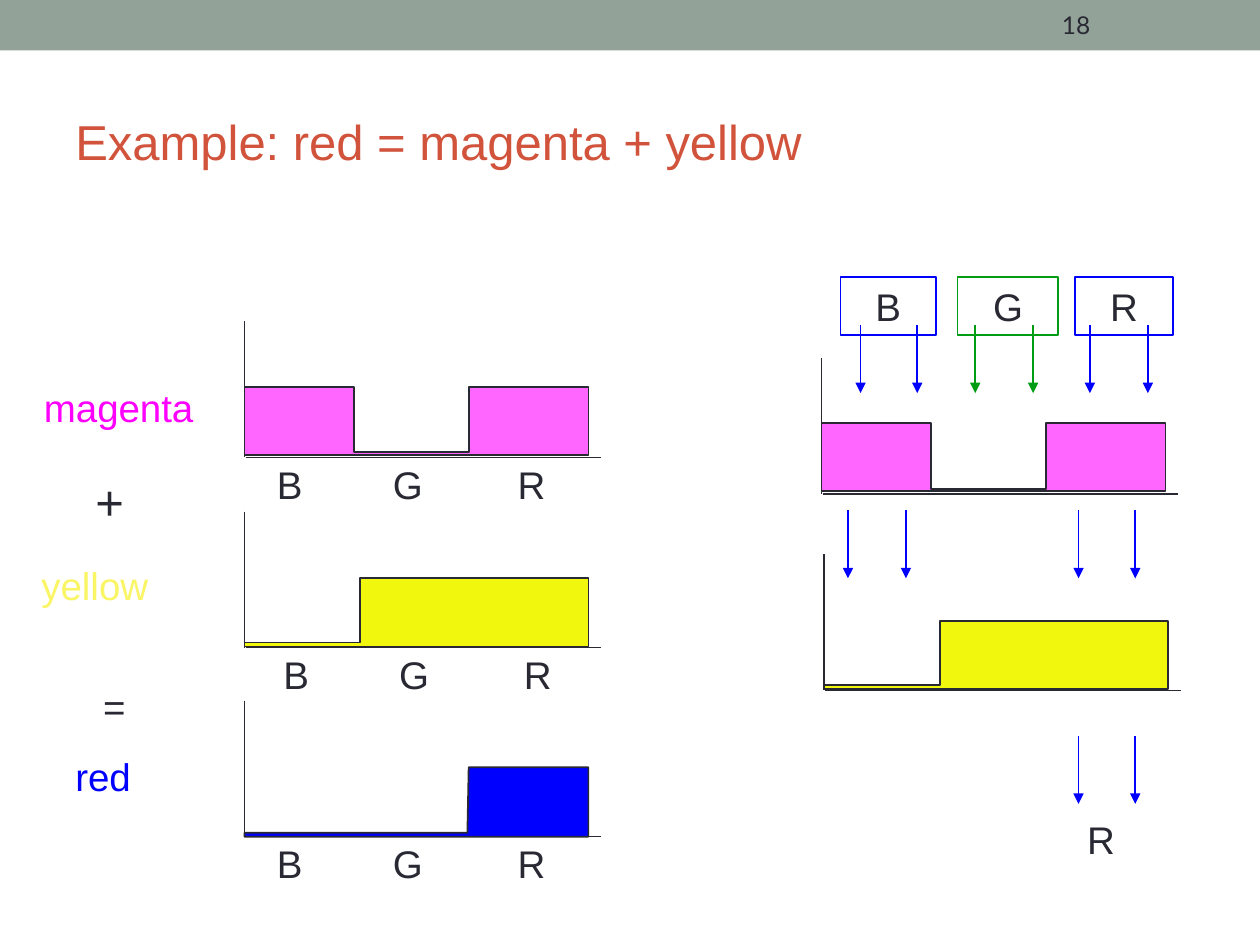
from typing import NamedTuple

from lxml.etree import SubElement
from pptx import Presentation
from pptx.dml.color import RGBColor
from pptx.enum.shapes import MSO_CONNECTOR, MSO_SHAPE
from pptx.enum.text import MSO_ANCHOR, MSO_AUTO_SIZE, PP_ALIGN
from pptx.oxml.ns import qn
from pptx.util import Inches, Pt

INK = "292934"
BLUE = "0000FF"
GREEN = "009C13"
MAGENTA = "FF66FF"
YELLOW = "F1F70D"

Point = tuple[float, float]
MAGENTA_BAND = [(0, 0.52), (0.87, 0.52), (0.87, 1.04), (1.78, 1.04),
                (1.78, 0.52), (2.73, 0.52), (2.73, 1.06), (0, 1.06)]
YELLOW_BAND = [(2.73, 0.53), (0.92, 0.53), (0.92, 1.04), (0, 1.04),
               (0, 1.07), (2.73, 1.07)]
RED_BAND = [(0, 1.05), (1.77, 1.05), (1.78, 0.53), (2.73, 0.53),
            (2.73, 1.08), (0, 1.08)]


class Spectrum(NamedTuple):
    """One graph: its origin, band outline, colour and first label offset."""
    left: float
    top: float
    band: list[Point]
    color: str
    label_offset: float | None = None


class Label(NamedTuple):
    """One line of text and its place."""
    text: str
    left: float
    top: float
    width: float
    height: float = 0.46
    color: str = INK
    size: int = 22
    font: str = "Arial"


class Arrows(NamedTuple):
    """One row of light rays of one colour."""
    xs: list[float]
    top: float
    color: str


class LightBox(NamedTuple):
    """One framed light source."""
    text: str
    left: float
    width: float
    color: str


SPECTRA = [
    Spectrum(1.94, 2.55, MAGENTA_BAND, MAGENTA, 0.16),
    Spectrum(1.94, 4.06, YELLOW_BAND, YELLOW, 0.21),
    Spectrum(1.94, 5.56, RED_BAND, BLUE, 0.16),
    Spectrum(6.52, 2.84, MAGENTA_BAND, MAGENTA),
    Spectrum(6.54, 4.4, YELLOW_BAND, YELLOW),
]
CHANNELS = [("B", 0, 0.4), ("G", 0.92, 0.44), ("R", 1.91, 0.42)]
LABELS = [
    Label("magenta", 0.25, 3, 1.39, color="FF00FF"),
    Label("+", 0.66, 3.69, 0.43, 0.56, size=28),
    Label("yellow", 0.23, 4.41, 1.05, color="F9F565"),
    Label("=", 0.72, 5.37, 0.38),
    Label("red", 0.5, 5.93, 0.64, color=BLUE),
    Label("R", 8.53, 6.43, 0.42),
]
HEADINGS = [
    Label("Example: red = magenta + yellow", 0.5, 0.58, 9, 1.08, "D2533C", 28),
    Label("18", 8.33, 0.02, 1.17, 0.36, size=14, font="Lato"),
]
ARROWS = [
    Arrows([6.83, 7.28, 8.65, 9.11], 2.58, BLUE),
    Arrows([7.74, 8.2], 2.58, GREEN),
    Arrows([6.73, 7.19, 8.56, 9.01], 4.05, BLUE),
    Arrows([8.56, 9.01], 5.84, BLUE),
]
LIGHT_BOXES = [
    LightBox("B", 6.67, 0.76, BLUE),
    LightBox("G", 7.6, 0.8, GREEN),
    LightBox("R", 8.53, 0.78, BLUE),
]


def rgb(value: str) -> RGBColor:
    """Turn a hex string into a colour."""
    return RGBColor.from_string(value)


def write(frame, label: Label) -> None:
    """Write a label's text into a text frame."""
    para = frame.paragraphs[0]
    para.text = label.text
    para.font.name = label.font
    para.font.size = Pt(label.size)
    para.font.color.rgb = rgb(label.color)


def add_label(page, label: Label, heading: bool = False) -> None:
    """Add a text box, wrapped and centred vertically for headings."""
    box = page.shapes.add_textbox(Inches(label.left), Inches(label.top),
                                  Inches(label.width), Inches(label.height))
    frame = box.text_frame
    frame.word_wrap = heading
    frame.auto_size = MSO_AUTO_SIZE.NONE if heading else MSO_AUTO_SIZE.SHAPE_TO_FIT_TEXT
    frame.vertical_anchor = MSO_ANCHOR.MIDDLE if heading else MSO_ANCHOR.TOP
    write(frame, label)


def add_line(page, start: Point, end: Point, color: str = INK, arrow: bool = False) -> None:
    """Draw a straight line, with an arrowhead at its end if asked."""
    line = page.shapes.add_connector(MSO_CONNECTOR.STRAIGHT, *map(Inches, start + end))
    line.line.color.rgb = rgb(color)
    line.line.width = Pt(1)
    if arrow:
        SubElement(line.line._get_or_add_ln(), qn("a:tailEnd"), type="triangle")
    SubElement(line._element.spPr, qn("a:effectLst"))


def add_spectrum(page, graph: Spectrum) -> None:
    """Draw the axes, the band and the channel labels of a graph."""
    left, top = graph.left, graph.top
    base = top + 1.08
    add_line(page, (left, top), (left, base))
    add_line(page, (left + 0.01, base), (left + 2.83, base))
    points = [(Inches(left + x), Inches(top + y)) for x, y in graph.band]
    builder = page.shapes.build_freeform(*points[0])
    builder.add_line_segments(points[1:], close=True)
    band = builder.convert_to_shape()
    band.shadow.inherit = False
    band.fill.solid()
    band.fill.fore_color.rgb = rgb(graph.color)
    band.line.color.rgb = rgb(INK)
    band.line.width = Pt(1)
    if graph.label_offset is not None:
        for text, offset, width in CHANNELS:
            add_label(page, Label(text, left + graph.label_offset + offset, top + 1.06, width))


def add_light_box(page, light: LightBox) -> None:
    """Draw a framed, centred letter."""
    box = page.shapes.add_shape(MSO_SHAPE.RECTANGLE, Inches(light.left), Inches(2.2),
                                Inches(light.width), Inches(0.46))
    box.shadow.inherit = False
    box.fill.background()
    box.line.color.rgb = rgb(light.color)
    box.line.width = Pt(1)
    frame = box.text_frame
    frame.word_wrap = True
    frame.auto_size = MSO_AUTO_SIZE.SHAPE_TO_FIT_TEXT
    frame.vertical_anchor = MSO_ANCHOR.TOP
    write(frame, Label(light.text, light.left, 2.2, light.width))
    frame.paragraphs[0].alignment = PP_ALIGN.CENTER


def main() -> None:
    """Build the slide and save it."""
    deck = Presentation()
    deck.slide_width, deck.slide_height = Inches(10), Inches(7.5)
    page = deck.slides.add_slide(deck.slide_layouts[6])
    banner = page.shapes.add_shape(MSO_SHAPE.RECTANGLE, 0, 0, Inches(10), Inches(0.4))
    banner.shadow.inherit = False
    banner.fill.solid()
    banner.fill.fore_color.rgb = rgb("93A299")
    banner.line.fill.background()
    for heading in HEADINGS:
        add_label(page, heading, heading=True)
    for graph in SPECTRA:
        add_spectrum(page, graph)
    for label in LABELS:
        add_label(page, label)
    for row in ARROWS:
        for x in row.xs:
            add_line(page, (x, row.top), (x, row.top + 0.54), row.color, arrow=True)
    for light in LIGHT_BOXES:
        add_light_box(page, light)
    deck.save("out.pptx")


if __name__ == "__main__":
    main()
